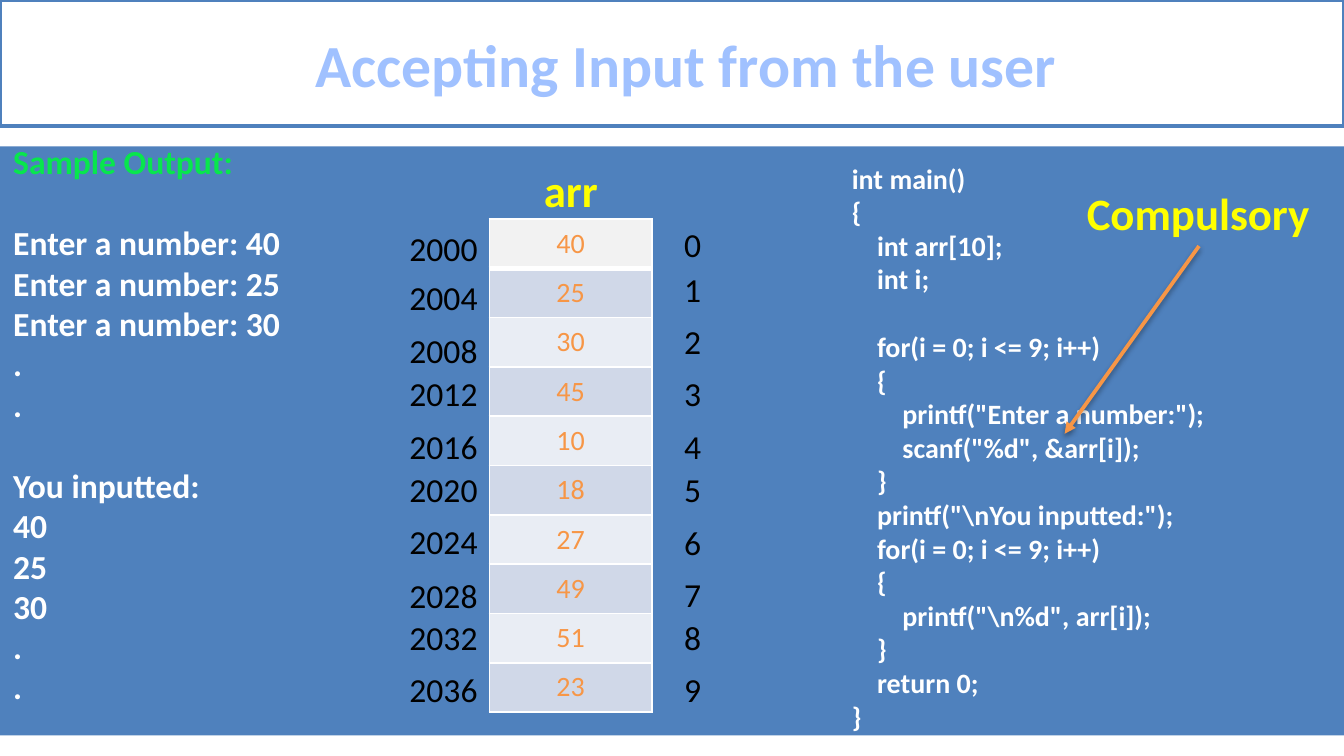
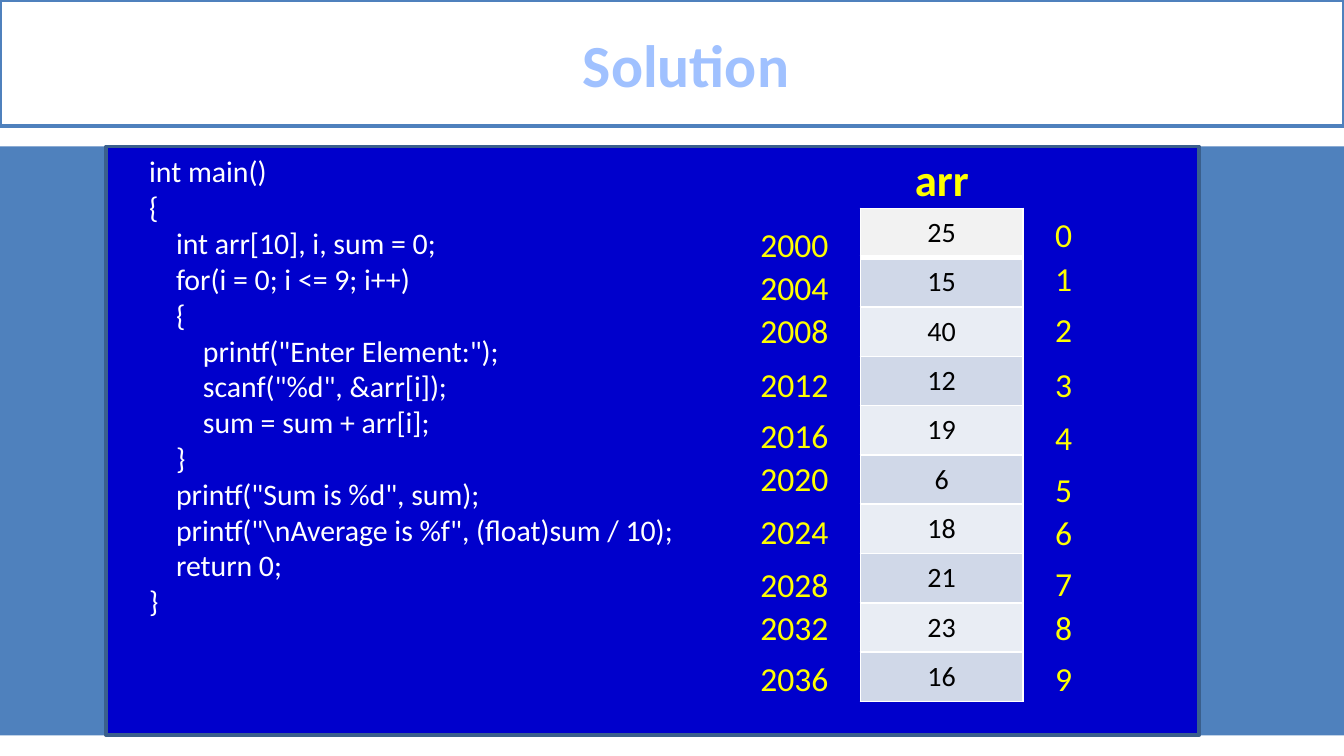
from lxml import etree
from pptx import Presentation
from pptx.dml.color import RGBColor
from pptx.enum.shapes import MSO_CONNECTOR, MSO_SHAPE
from pptx.enum.text import MSO_ANCHOR, MSO_AUTO_SIZE, PP_ALIGN
from pptx.oxml.ns import qn
from pptx.util import Cm, Pt

RECT = MSO_SHAPE.RECTANGLE
STRAIGHT = MSO_CONNECTOR.STRAIGHT
MIDDLE = MSO_ANCHOR.MIDDLE
CENTER = PP_ALIGN.CENTER
GROW = MSO_AUTO_SIZE.SHAPE_TO_FIT_TEXT

FONT = "Calibri"
WHITE, BLACK, YELLOW = "FFFFFF", "000000", "FFFF00"
BLUE, NAVY, BOARD_EDGE = "4F81BD", "0000CC", "3A5F8C"
TITLE, GREEN, ORANGE = "A0C1FF", "08E64D", "F79646"
HEAD_ROW, DARK_ROW, LIGHT_ROW = "F2F2F2", "D0D8E8", "E9EDF4"
WIDTH, HEIGHT = 25.4, 14.29
PANEL_TOP, PANEL_HEIGHT = 2.77, 11.13
LINE_SPACING = 1.22

SAMPLE_OUTPUT = """Sample Output:

Enter a number: 40
Enter a number: 25
Enter a number: 30
.
.

You inputted:
40
25
30
.
."""

INPUT_CODE = r"""int main()
{
    int arr[10];
    int i;

    for(i = 0; i <= 9; i++)
    {
        printf("Enter a number:");
        scanf("%d", &arr[i]);
    }
    printf("\nYou inputted:");
    for(i = 0; i <= 9; i++)
    {
        printf("\n%d", arr[i]);
    }
    return 0;
}"""

SOLUTION_CODE = r"""int main()
{
    int arr[10], i, sum = 0;
    for(i = 0; i <= 9; i++)
    {
        printf("Enter Element:");
        scanf("%d", &arr[i]);
        sum = sum + arr[i];
    }
    printf("Sum is %d", sum);
    printf("\nAverage is %f", (float)sum / 10);
    return 0;
}"""


def rgb(color):
    return RGBColor.from_string(color)


class Deck:
    def __init__(self):
        self.prs = Presentation()
        self.prs.slide_width, self.prs.slide_height = Cm(WIDTH), Cm(HEIGHT)
        self.s = None

    def slide(self, title):
        """Start a slide with its blue panel and title band."""
        self.s = self.prs.slides.add_slide(self.prs.slide_layouts[6])
        self.box(0, PANEL_TOP, WIDTH, PANEL_HEIGHT, BLUE)
        tf = self.box(0, 0, WIDTH, 2.39, WHITE, BLUE).text_frame
        tf.margin_left = Cm(0.79)
        tf.vertical_anchor = MIDDLE
        p = tf.paragraphs[0]
        p.alignment = CENTER
        self.run(p, title, 32, TITLE, True)

    def run(self, p, text, size, color, bold=False):
        r = p.add_run()
        r.text = text
        r.font.name, r.font.size, r.font.bold = FONT, Pt(size), bold
        r.font.color.rgb = rgb(color)

    def box(self, x, y, w, h, fill, line=None):
        sp = self.s.shapes.add_shape(RECT, Cm(x), Cm(y), Cm(w), Cm(h))
        sp.shadow.inherit = False
        sp.fill.solid()
        sp.fill.fore_color.rgb = rgb(fill)
        if line:
            sp.line.color.rgb = rgb(line)
            sp.line.width = Pt(2)
        else:
            sp.line.fill.background()
        return sp

    def text(self, x, y, w, h, text, size, color, bold=False, wrap=False,
             indent=0, first_color=None):
        """Write one paragraph a line; an empty line becomes a gap."""
        tf = self.s.shapes.add_textbox(Cm(x), Cm(y), Cm(w), Cm(h)).text_frame
        tf.word_wrap = wrap
        tf.auto_size = GROW
        gap = 0
        for i, line in enumerate(text.split("\n")):
            if not line:
                gap += size * LINE_SPACING
                continue
            p = tf.add_paragraph() if i else tf.paragraphs[0]
            if indent:
                p._p.get_or_add_pPr().set("marL", str(Cm(indent)))
            if gap:
                p.space_before = Pt(gap)
                gap = 0
            line_color = first_color if first_color and i == 0 else color
            self.run(p, line, size, line_color, bold)

    def labels(self, x, w, tops, values, color):
        for top, value in zip(tops, values):
            self.text(x, top, w, 1.02, str(value), 18, color)

    def border(self, cell, side, width):
        ln = etree.SubElement(cell._tc.get_or_add_tcPr(), qn(f"a:{side}"), w=str(Pt(width)))
        fill = etree.SubElement(ln, qn("a:solidFill"))
        etree.SubElement(fill, qn("a:srgbClr"), val=WHITE)

    def array(self, x, y, values, color):
        """Draw the array as a one-column table."""
        table = self.s.shapes.add_table(len(values), 1, Cm(x), Cm(y), Cm(3.07), Cm(9.32)).table
        for i, value in enumerate(values):
            cell = table.cell(i, 0)
            cell.vertical_anchor = MIDDLE
            cell.margin_top = cell.margin_bottom = Cm(0.1)
            for side in ("lnL", "lnR", "lnT", "lnB"):
                thick = (i, side) in ((0, "lnB"), (1, "lnT"))
                self.border(cell, side, 3 if thick else 1)
            cell.fill.solid()
            fill = HEAD_ROW if i == 0 else DARK_ROW if i % 2 else LIGHT_ROW
            cell.fill.fore_color.rgb = rgb(fill)
            p = cell.text_frame.paragraphs[0]
            p.alignment = CENTER
            self.run(p, str(value), 15, color)

    def arrow(self, x1, y1, x2, y2, color):
        c = self.s.shapes.add_connector(STRAIGHT, Cm(x1), Cm(y1), Cm(x2), Cm(y2))
        c.line.color.rgb = rgb(color)
        c.line.width = Pt(2)
        etree.SubElement(c.line._get_or_add_ln(), qn("a:tailEnd"), type="triangle")
        effects = etree.SubElement(c._element.spPr, qn("a:effectLst"))
        shadow = etree.SubElement(effects, qn("a:outerShdw"), blurRad=str(Pt(3.1)),
                                  dist=str(Pt(1.6)), dir="5400000", rotWithShape="0")
        tint = etree.SubElement(shadow, qn("a:srgbClr"), val=BLACK)
        etree.SubElement(tint, qn("a:alpha"), val="38000")


def main():
    deck = Deck()
    addresses = range(2000, 2040, 4)
    indexes = range(10)

    # Input slide: sample output, array and code
    deck.slide("Accepting Input from the user")
    deck.text(0, 2.54, WIDTH, 11.79, SAMPLE_OUTPUT, 18, WHITE, True, wrap=True,
              first_color=GREEN)
    deck.text(13.31, 2.92, 9.8, 11.15, INPUT_CODE, 15, WHITE, True, indent=2.54)
    deck.array(9.25, 4.14, [40, 25, 30, 45, 10, 18, 27, 49, 51, 23], ORANGE)
    address_tops = [4.19, 5.11, 6.12, 6.93, 7.92, 8.74, 9.73, 10.74, 11.53, 12.52]
    index_tops = [4.11, 4.95, 5.94, 6.93, 7.92, 8.74, 9.75, 10.72, 11.53, 12.52]
    deck.labels(7.49, 1.8, address_tops, addresses, BLACK)
    deck.labels(12.68, 0.84, index_tops, indexes, BLACK)
    deck.text(10.03, 2.95, 1.55, 1.27, "arr", 24, YELLOW, True)
    deck.text(20.29, 3.38, 4.72, 1.27, "Compulsory", 24, YELLOW, True)
    deck.arrow(22.66, 4.65, 20.12, 8.2, ORANGE)

    # Solution slide: code and array on a dark board
    deck.slide("Solution")
    deck.box(2.01, PANEL_TOP, 20.65, PANEL_HEIGHT, NAVY, BOARD_EDGE)
    deck.text(0.03, PANEL_TOP, 14.88, 9.14, SOLUTION_CODE, 16, WHITE, wrap=True, indent=2.54)
    deck.array(16.26, 3.94, [25, 15, 40, 12, 19, 6, 18, 21, 23, 16], BLACK)
    address_tops = [4.11, 4.93, 5.74, 6.76, 7.72, 8.53, 9.53, 10.54, 11.35, 12.32]
    index_tops = [3.91, 4.75, 5.72, 6.76, 7.75, 8.74, 9.55, 10.52, 11.35, 12.32]
    deck.labels(14.12, 1.8, address_tops, addresses, YELLOW)
    deck.labels(19.69, 0.84, index_tops, indexes, YELLOW)
    deck.text(17.04, 2.74, 1.55, 1.27, "arr", 24, YELLOW, True)

    deck.prs.save("out.pptx")


if __name__ == "__main__":
    main()
